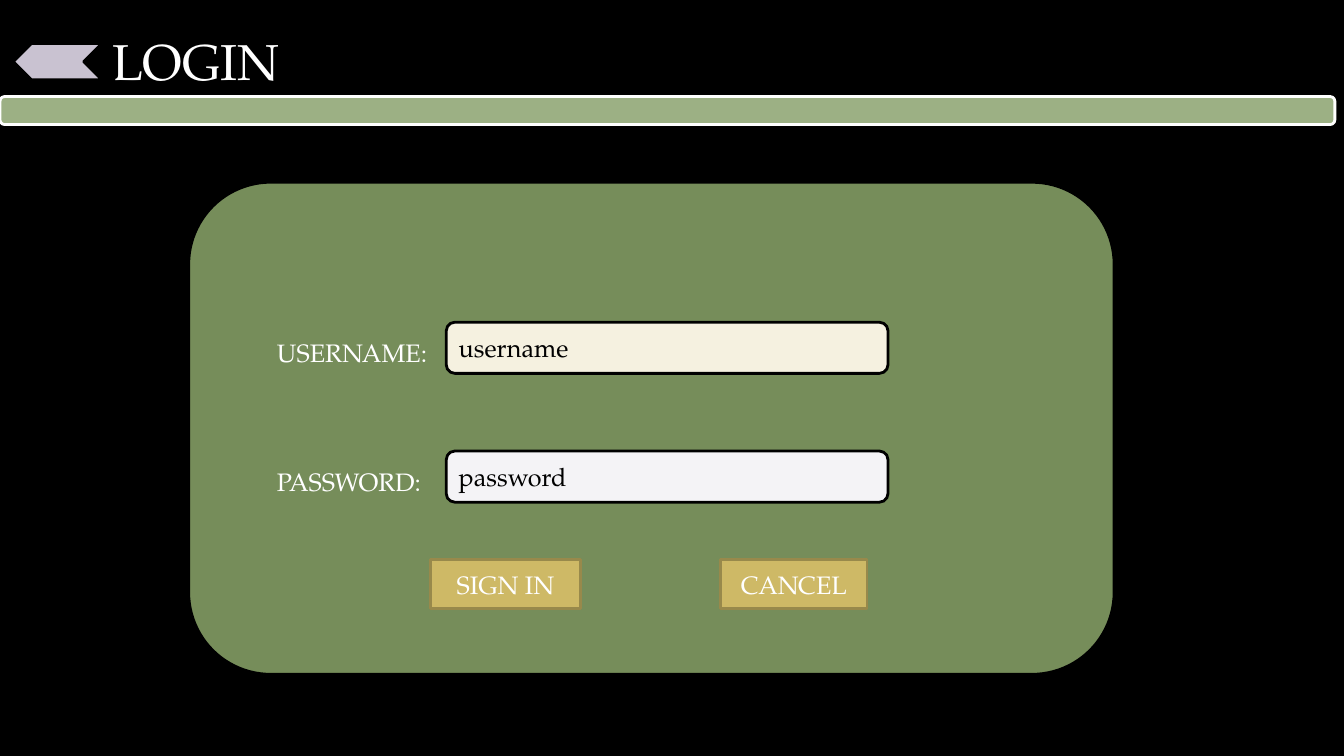
from pptx import Presentation
from pptx.dml.color import RGBColor
from pptx.enum import shapes, text
from pptx.util import Pt

FONT = "TeX Gyre Pagella"
BLACK = RGBColor(0x00, 0x00, 0x00)
WHITE = RGBColor(0xFF, 0xFF, 0xFF)
SAGE = RGBColor(0x9C, 0xB0, 0x84)
OLIVE = RGBColor(0x76, 0x8D, 0x5A)
CREAM = RGBColor(0xF5, 0xF1, 0xE0)
MIST = RGBColor(0xF4, 0xF3, 0xF6)
GOLD = RGBColor(0xCE, 0xB9, 0x66)
BRONZE = RGBColor(0x98, 0x89, 0x4B)
LILAC = RGBColor(0xC9, 0xC2, 0xD1)
RECT = shapes.MSO_SHAPE.RECTANGLE
ROUNDED = shapes.MSO_SHAPE.ROUNDED_RECTANGLE
CHEVRON = shapes.MSO_SHAPE.CHEVRON
LEFT, CENTER = text.PP_ALIGN.LEFT, text.PP_ALIGN.CENTER
TOP, MIDDLE = text.MSO_ANCHOR.TOP, text.MSO_ANCHOR.MIDDLE


def write(sp, words, size, color, align=LEFT, anchor=TOP):
    """Put one formatted line of text into a shape."""
    tf = sp.text_frame
    tf.text = words
    tf.word_wrap = True
    tf.vertical_anchor = anchor
    p = tf.paragraphs[0]
    p.alignment = align
    font = p.runs[0].font
    font.name, font.size = FONT, Pt(size)
    font.color.rgb = color


def add_block(s, kind, box, fill, line):
    """Add a flat filled shape with a 2 pt outline."""
    sp = s.shapes.add_shape(kind, *map(Pt, box))
    sp.shadow.inherit = False
    sp.fill.solid()
    sp.fill.fore_color.rgb = fill
    sp.line.color.rgb = line
    sp.line.width = Pt(2)
    return sp


def add_header(s, left, top, width):
    """Place the back arrow, the title and the bar below them."""
    add_block(s, ROUNDED, (left, top + 69, width, 20), SAGE, WHITE)
    title = s.shapes.title
    title.left, title.top = Pt(left + 73.4), Pt(top + 18)
    title.width, title.height = Pt(149), Pt(51)
    write(title, "LOGIN", 36, WHITE)
    title.text_frame.auto_size = text.MSO_AUTO_SIZE.SHAPE_TO_FIT_TEXT
    back = add_block(s, CHEVRON, (left + 9.4, top + 31, 63.4, 26), LILAC, BLACK)
    back.rotation = 180


def add_field(s, left, top, label, hint, fill):
    """Place a label and the input box to its right."""
    box = add_block(s, ROUNDED, (left + 128, top, 315.5, 36.5), fill, BLACK)
    write(box, hint, 18, BLACK, anchor=MIDDLE)
    caption = s.shapes.add_textbox(Pt(left), Pt(top + 7), Pt(128), Pt(29))
    write(caption, label, 18, WHITE)


def add_login_panel(s, left, top, width, height):
    """Place the panel with its fields and buttons."""
    add_block(s, ROUNDED, (left, top, width, height), OLIVE, BLACK)
    fields = [("USERNAME:", "username", CREAM), ("PASSWORD:", "password", MIST)]
    for row, field in enumerate(fields):
        add_field(s, left + 56, top + 100 + 92 * row, *field)
    for words, offset, wide in [("SIGN IN", 172.8, 107), ("CANCEL", 380, 104.5)]:
        button = add_block(s, RECT, (left + offset, top + 269.5, wide, 35), GOLD, BRONZE)
        write(button, words, 18, WHITE, CENTER, MIDDLE)


def main():
    """Build the login slide and save it."""
    prs = Presentation()
    prs.slide_width, prs.slide_height = Pt(960), Pt(540)
    s = prs.slides.add_slide(prs.slide_layouts[5])
    s.background.fill.solid()
    s.background.fill.fore_color.rgb = BLACK
    add_header(s, 0, 0, 953.5)
    add_login_panel(s, 134.8, 130.2, 661, 351.5)
    prs.save("out.pptx")


if __name__ == "__main__":
    main()
